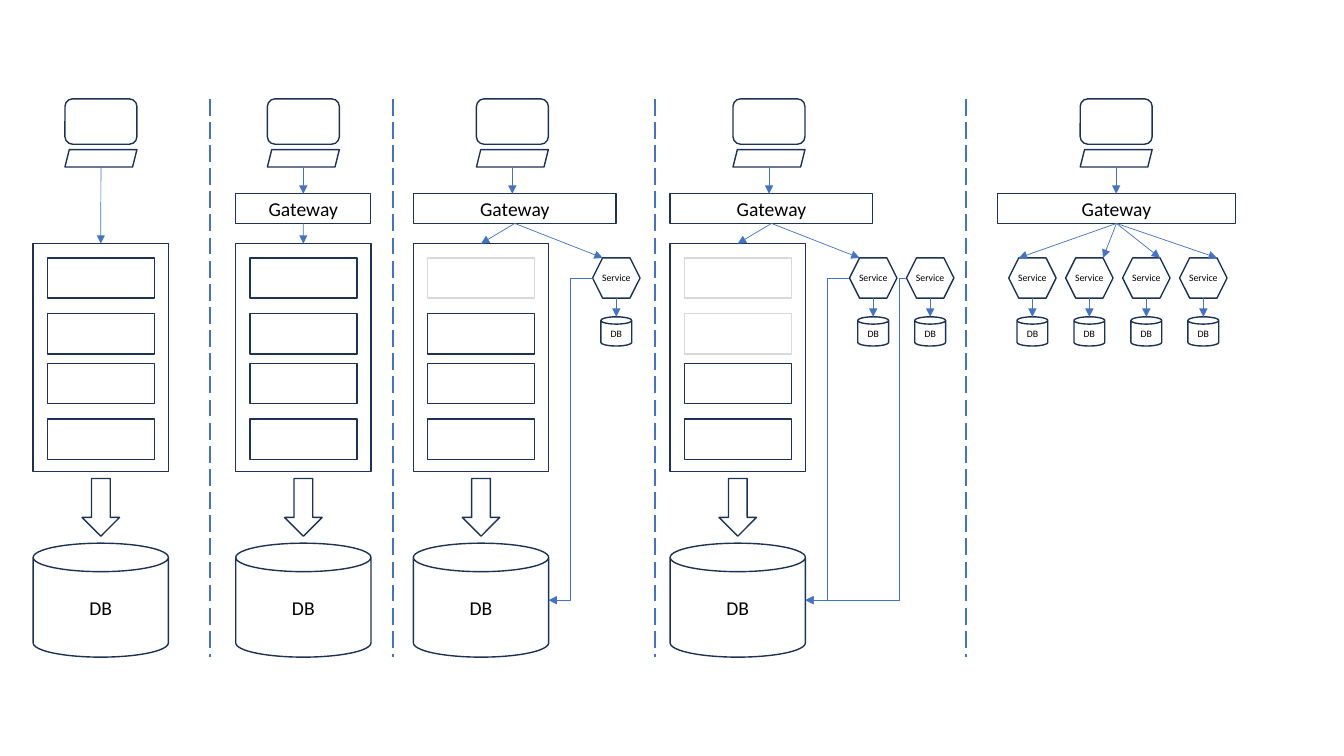
import dataclasses
import typing

import lxml.etree
import pptx
import pptx.dml.color
import pptx.enum.dml
import pptx.enum.shapes
import pptx.enum.text
import pptx.oxml.ns
import pptx.util

Pt = pptx.util.Pt
Preset = pptx.enum.shapes.MSO_SHAPE
Wire = pptx.enum.shapes.MSO_CONNECTOR
rgb = pptx.dml.color.RGBColor.from_string
qn = pptx.oxml.ns.qn


@dataclasses.dataclass(frozen=True)
class Theme:
    paper: str = "FFFFFF"
    outline: str = "1E3256"
    faded: str = "D9D9D9"
    wire: str = "4472C4"
    ink: str = "000000"
    font: str = "Calibri"
    label_size: float = 14
    small_size: float = 7
    outline_width: float = 1
    wire_width: float = 0.5
    divider_width: float = 1.5


THEME = Theme()


class Box(typing.NamedTuple):
    """Place of a part, in points."""
    left: float
    top: float
    width: float
    height: float

    @property
    def right(self) -> float:
        return self.left + self.width

    @property
    def bottom(self) -> float:
        return self.top + self.height

    @property
    def center(self) -> float:
        return self.left + self.width / 2

    @property
    def middle(self) -> float:
        return self.top + self.height / 2


class Service(typing.NamedTuple):
    left: float
    routed: bool = True  # reached by an arrow from the gateway
    right_corner: bool = False  # that arrow lands on the top right corner
    legacy_lane: typing.Optional[float] = None  # bend of the wire to the shared DB


@dataclasses.dataclass(frozen=True)
class Stage:
    left: float
    client_center: float
    gateway_width: float = 0
    monolith: bool = True
    extracted: int = 0
    services: tuple[Service, ...] = ()


SERVICE_STEP = 40.7
STAGES = (
    Stage(23.7, 72.1),
    Stage(168.4, 216.7, 96.5),
    Stage(295.3, 366, 144.8, extracted=1, services=(Service(423.3, legacy_lane=0.5),)),
    Stage(478.7, 549.3, 144.8, extracted=2, services=(
        Service(606.8, legacy_lane=0.5),
        Service(606.8 + SERVICE_STEP, routed=False, legacy_lane=0.066))),
    Stage(712.6, 797.3, 169.8, monolith=False, services=tuple(
        Service(720.5 + i * SERVICE_STEP, right_corner=i > 0) for i in range(4))),
)
DIVIDERS = (150.1, 280.9, 467.9, 690.2)
DIVIDER_TOP, DIVIDER_BOTTOM = 70.6, 469.4
MODULE_TOPS = (184.2, 224, 259.5, 299.3)
MODULE_INSET = 10.2
SERVICE_TOP = MODULE_TOPS[0]
CORNER = 7.2

deck = pptx.Presentation()
deck.slide_width, deck.slide_height = Pt(960), Pt(540)
slide = deck.slides.add_slide(deck.slide_layouts[6])


def apply(target: typing.Any, values: dict[str, typing.Any]) -> None:
    for name, value in values.items():
        setattr(target, name, value)


def draw_part(preset: Preset, box: Box, text: str = "", small: bool = False, filled: bool = False,
              color: str = THEME.outline, turn: float = 0, parent: typing.Any = slide) -> Box:
    part = parent.shapes.add_shape(preset, *(Pt(length) for length in box))
    part.rotation = turn
    part.shadow.inherit = False
    if filled:
        part.fill.solid()
        part.fill.fore_color.rgb = rgb(THEME.paper)
    else:
        part.fill.background()
    part.line.color.rgb = rgb(color)
    part.line.width = Pt(THEME.outline_width)
    if text:
        frame = part.text_frame
        apply(frame, {"vertical_anchor": pptx.enum.text.MSO_ANCHOR.MIDDLE, "word_wrap": True})
        if small:
            apply(frame, {f"margin_{side}": 0 for side in ("left", "top", "right", "bottom")})
        label = frame.paragraphs[0]
        apply(label, {"text": text, "alignment": pptx.enum.text.PP_ALIGN.CENTER})
        font = label.runs[0].font
        apply(font, {"name": THEME.font,
                     "size": Pt(THEME.small_size if small else THEME.label_size)})
        font.color.rgb = rgb(THEME.ink)
    return box


def draw_wire(x1: float, y1: float, x2: float, y2: float, bend: typing.Optional[float] = None,
              divider: bool = False) -> None:
    kind = Wire.STRAIGHT if bend is None else Wire.ELBOW
    wire = slide.shapes.add_connector(kind, Pt(x1), Pt(y1), Pt(x2), Pt(y2))
    wire.line.color.rgb = rgb(THEME.wire)
    wire.line.width = Pt(THEME.divider_width if divider else THEME.wire_width)
    properties = wire.line._get_or_add_ln().getparent()
    if divider:
        wire.line.dash_style = pptx.enum.dml.MSO_LINE.LONG_DASH
    else:
        lxml.etree.SubElement(properties.find(qn("a:ln")), qn("a:tailEnd"), type="triangle")
    if bend is not None:
        guides = properties.find(qn("a:prstGeom")).get_or_add_avLst()
        lxml.etree.SubElement(guides, qn("a:gd"), name="adj1", fmla=f"val {round(bend * 100000)}")
    lxml.etree.SubElement(properties, qn("a:effectLst"))


def draw_client(center: float) -> Box:
    client = slide.shapes.add_group_shape()
    draw_part(Preset.ROUNDED_RECTANGLE, Box(center - 25.7, 70.6, 51.4, 32.4),
              filled=True, parent=client)
    return draw_part(Preset.PARALLELOGRAM, Box(center - 25.7, 106.9, 51.4, 12.4),
                     filled=True, parent=client)


def draw_monolith(left: float, extracted: int) -> tuple[Box, Box]:
    monolith = draw_part(Preset.RECTANGLE, Box(left, 174, 96.6, 162.8))
    database = draw_part(Preset.CAN, Box(left, 388, 96.6, 81.4), "DB", filled=True)
    draw_part(Preset.RIGHT_ARROW, Box(monolith.center - 20.6, 349, 41.2, 26.8), turn=90)
    for index, top in enumerate(MODULE_TOPS):
        draw_part(Preset.RECTANGLE, Box(left + MODULE_INSET, top, 76.4, 28.8),
                  color=THEME.faded if index < extracted else THEME.outline)
    return monolith, database


def draw_service(service: Service) -> Box:
    hexagon = draw_part(Preset.HEXAGON, Box(service.left, SERVICE_TOP, 33.9, 28.8),
                        "Service", small=True, filled=True)
    store = draw_part(Preset.CAN, Box(hexagon.center - 11, 226.3, 22, 20.9),
                      "DB", small=True, filled=True)
    draw_wire(hexagon.center, hexagon.bottom, store.center, store.top)
    return hexagon


def draw_stage(stage: Stage) -> None:
    source = draw_client(stage.client_center)
    if stage.gateway_width:
        gateway = draw_part(Preset.RECTANGLE, Box(stage.left, 138.4, stage.gateway_width, 21.2),
                            "Gateway")
        draw_wire(stage.client_center, source.bottom, stage.client_center, gateway.top)
        source = gateway
    if stage.monolith:
        monolith, database = draw_monolith(stage.left, stage.extracted)
        draw_wire(source.center, source.bottom, monolith.center, monolith.top)
    for service in stage.services:
        hexagon = draw_service(service)
        if service.routed:
            corner = hexagon.right - CORNER if service.right_corner else hexagon.left + CORNER
            draw_wire(source.center, source.bottom, corner, hexagon.top)
        if service.legacy_lane is not None:
            draw_wire(hexagon.left, hexagon.middle, database.right, database.middle,
                      bend=service.legacy_lane)


# Dashed lines between the migration stages
for x in DIVIDERS:
    draw_wire(x, DIVIDER_TOP, x, DIVIDER_BOTTOM, divider=True)

# Stages from monolith to microservices
for migration_stage in STAGES:
    draw_stage(migration_stage)

deck.save("out.pptx")
